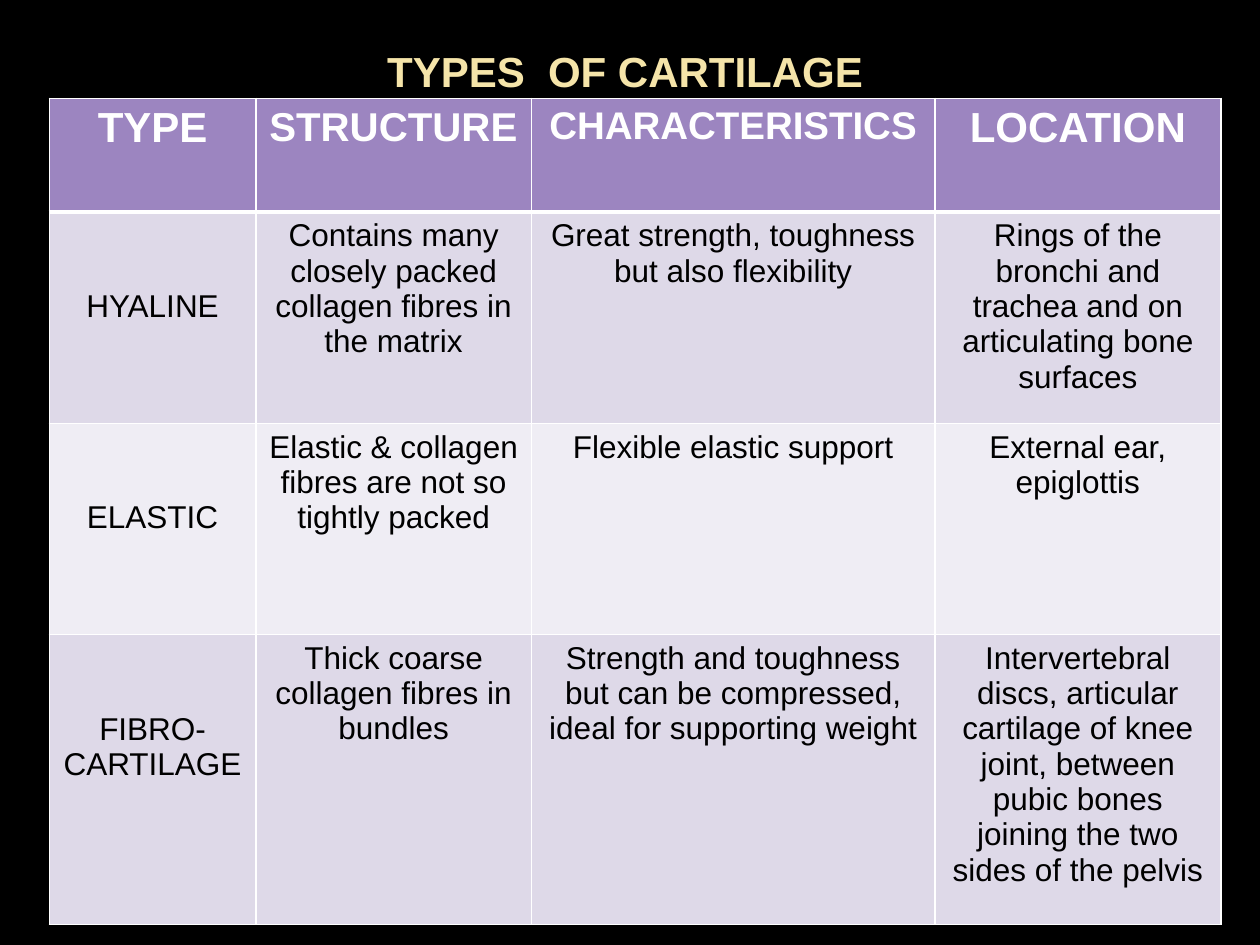
from lxml.etree import SubElement
from pptx import Presentation
from pptx.dml.color import RGBColor
from pptx.enum.text import PP_ALIGN
from pptx.oxml.ns import qn
from pptx.util import Pt

THEME = {
    "font": "Arial",
    "back": "000000", "title": "F5E4A9", "head": "9C85C0",
    "bands": ["DED9E8", "EFEDF4"], "light": "FFFFFF", "dark": "000000",
    "title size": 24, "head sizes": [24, 23, 22, 24], "body size": 18,
}


def write(frame, text, size, color, bold):
    frame.word_wrap = True
    para = frame.paragraphs[0]
    para.text = text
    para.alignment = PP_ALIGN.CENTER
    font = para.font
    font.name = THEME["font"]
    font.size = Pt(size)
    font.bold = bold
    font.color.rgb = RGBColor.from_string(color)


def edge(cell, side, width):
    """Draw one border of a cell; side is L, R, T or B."""
    line = SubElement(cell._tc.get_or_add_tcPr(), qn("a:ln" + side), w=str(Pt(width)))
    fill = SubElement(line, qn("a:solidFill"))
    SubElement(fill, qn("a:srgbClr"), val=THEME["light"])


deck = Presentation()
deck.slide_width, deck.slide_height = Pt(720), Pt(540)
slide = deck.slides.add_slide(deck.slide_layouts[6])
back = slide.background.fill
back.solid()
back.fore_color.rgb = RGBColor.from_string(THEME["back"])

# Table
rows = [
    ["TYPE", "STRUCTURE", "CHARACTERISTICS", "LOCATION"],
    ["HYALINE",
     "Contains many closely packed collagen fibres in the matrix",
     "Great strength, toughness but also flexibility",
     "Rings of the bronchi and trachea and on articulating bone surfaces"],
    ["ELASTIC",
     "Elastic & collagen fibres are not so tightly packed",
     "Flexible elastic support",
     "External ear, epiglottis"],
    ["FIBRO-CARTILAGE",
     "Thick coarse collagen fibres in bundles",
     "Strength and toughness but can be compressed, ideal for supporting weight",
     "Intervertebral discs, articular cartilage of knee joint, "
     "between pubic bones joining the two sides of the pelvis"],
]
widths = [118, 157.5, 230.5, 163.5]
heights = [65, 120.7, 120.7, 165.6]
table = slide.shapes.add_table(
    len(rows), len(widths), Pt(28.2), Pt(56.2), Pt(sum(widths)), Pt(sum(heights))
).table
for col, width in zip(table.columns, widths):
    col.width = Pt(width)

for r, (row, height) in enumerate(zip(rows, heights)):
    table.rows[r].height = Pt(height)
    head = r == 0
    for c, text in enumerate(row):
        cell = table.cell(r, c)
        for side in "LRTB":
            thick = (r, side) in [(0, "B"), (1, "T")]
            edge(cell, side, 3 if thick else 1)
        cell.fill.solid()
        shade = THEME["head"] if head else THEME["bands"][(r - 1) % 2]
        cell.fill.fore_color.rgb = RGBColor.from_string(shade)
        if c == 0 and not head:
            cell.margin_top = Pt(44)
        size = THEME["head sizes"][c] if head else THEME["body size"]
        write(cell.text_frame, text, size, THEME["light" if head else "dark"], head)

# Title
title = slide.shapes.add_textbox(Pt(34), Pt(22.3), Pt(646.5), Pt(36.7))
write(title.text_frame, "TYPES  OF CARTILAGE", THEME["title size"], THEME["title"], True)

deck.save("out.pptx")
